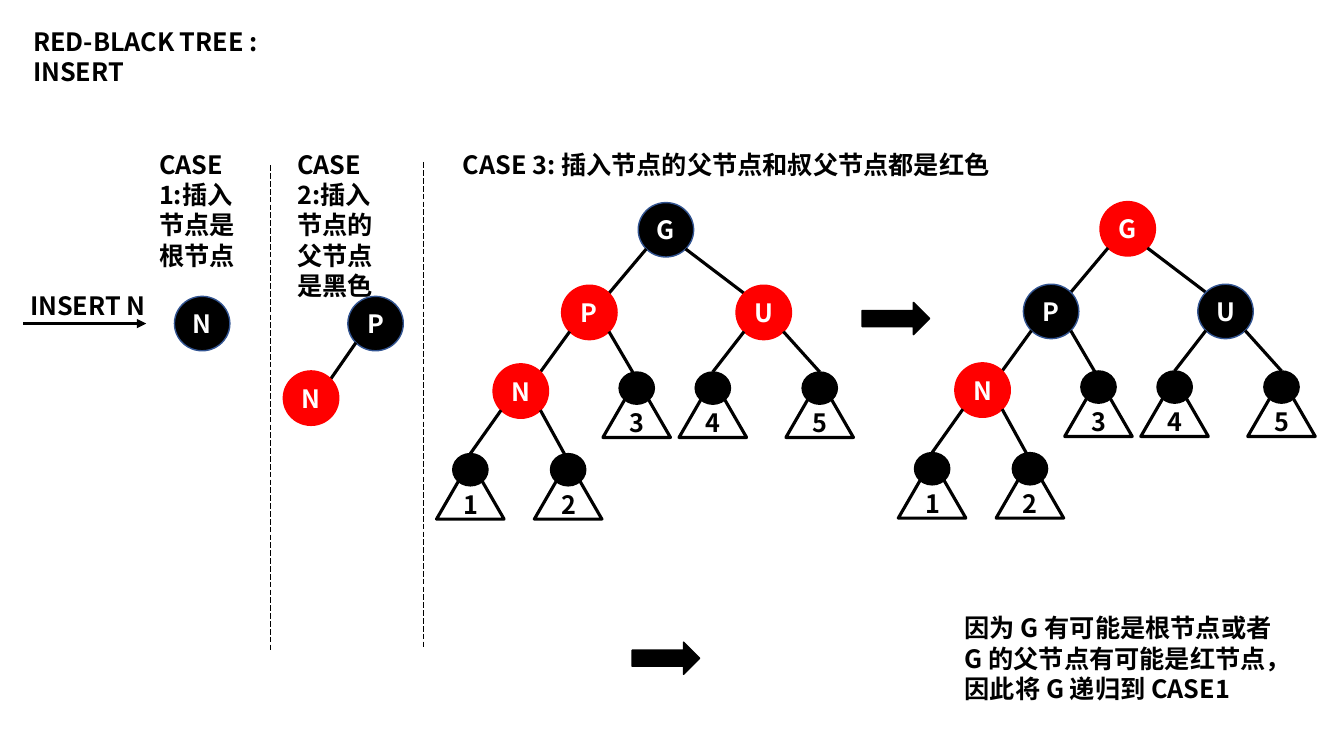
from dataclasses import dataclass
from lxml.etree import SubElement
from pptx import Presentation
from pptx.dml.color import RGBColor as Rgb
from pptx.enum.dml import MSO_LINE as Dash
from pptx.enum.shapes import MSO_CONNECTOR as Conn, MSO_SHAPE as Kind
from pptx.enum.text import MSO_ANCHOR as Anchor, MSO_AUTO_SIZE as Fit, PP_ALIGN as Align
from pptx.oxml.ns import qn
from pptx.util import Inches, Pt


@dataclass(frozen=True)
class Theme:
    black: str = "000000"
    red: str = "FF0000"
    white: str = "FFFFFF"
    rim: str = "325491"
    face: str = "Noto Sans CJK SC"
    size: float = 18
    bold: float = 2.25
    thin: float = 1
    hair: float = 0.5


T = Theme()
CELL = Inches(0.01)
COLS, ROWS = 1333, 750
NODE, DOT, LEAF, ARROW = (55, 54), (35, 32), (67, 58), (67, 32)
REACH = (19.5, 19)
RISE = 7

LABELS = [
    ("RED-BLACK TREE : INSERT", 23, 21, 330, 40),
    ("INSERT N", 20, 283, 140, 40),
    ("CASE 1:插入节点是根节点", 148, 143, 103, 131),
    ("CASE 2:插入节点的父节点是黑色", 285, 143, 103, 162),
    ("CASE 3: 插入节点的父节点和叔父节点都是红色", 449, 143, 553, 40),
    ("因为 G 有可能是根节点或者 G 的父节点有可能是红节点，因此将 G 递归到 CASE1",
     947, 603, 333, 101),
]
RULES = [(420, 161), (268, 164)]
RULE_LEN = 483
ARROWS = [(855, 300), (627, 637)]

# name: (dx, dy, parent)
ROOT = {"N": (0, 0, None)}
PAIR = {"P": (0, 0, None), "N": (-64, 74, "P")}
FAMILY = {"G": (0, 0, None), "P": (-76, 82, "G"), "U": (97, 82, "G"), "N": (-144, 160, "P")}
# label: (dx, dy, parent, line ends at the tip)
LEAVES = {
    "1": (-194, 229, "N", False), "2": (-97, 229, "N", True),
    "3": (-29, 148, "P", True), "4": (46.5, 148, "U", False),
    "5": (152.5, 148, "U", False),
}
TREES = [
    (200.5, 321, ROOT, {}, ""),
    (372.5, 321, PAIR, {}, "N"),
    (660.5, 228, FAMILY, LEAVES, "PUN"),
    (1118.5, 227, FAMILY, LEAVES, "GN"),
]

deck = Presentation()
deck.slide_width, deck.slide_height = COLS * CELL, ROWS * CELL
slide = deck.slides.add_slide(deck.slide_layouts[6])


def grid(*cells):
    return [round(c * CELL) for c in cells]


def write(frame, text, color, align=Align.LEFT):
    frame.word_wrap = True
    para = frame.paragraphs[0]
    para.text = text
    para.alignment = align
    font = para.font
    font.size, font.bold, font.name = Pt(T.size), True, T.face
    font.color.rgb = Rgb.from_string(color)
    SubElement(para._p.pPr.find(qn("a:defRPr")), qn("a:ea")).set("typeface", T.face)


def line(start, end, width=T.bold):
    link = slide.shapes.add_connector(Conn.STRAIGHT, *grid(*start, *end))
    link.line.color.rgb = Rgb.from_string(T.black)
    link.line.width = Pt(width)
    SubElement(link._element.spPr, qn("a:effectLst"))
    return link


def shape(kind, x, y, size, fill, rim, width=T.thin, text="", ink=T.white):
    item = slide.shapes.add_shape(kind, *grid(x, y, *size))
    item.shadow.inherit = False
    if fill:
        item.fill.solid()
        item.fill.fore_color.rgb = Rgb.from_string(fill)
    else:
        item.fill.background()
    item.line.color.rgb = Rgb.from_string(rim)
    item.line.width = Pt(width)
    if text:
        item.text_frame.vertical_anchor = Anchor.MIDDLE
        write(item.text_frame, text, ink, Align.CENTER)


def tree(cx, cy, nodes, leaves, reds):
    rx, ry = REACH

    def exit_of(name, dx):
        px, py, _ = nodes[name]
        side = 1 if dx > px else -1
        return side, (cx + px + side * rx, cy + py + ry)

    for name, (dx, dy, parent) in nodes.items():
        if parent:
            side, start = exit_of(parent, dx)
            line(start, (cx + dx - side * rx, cy + dy - ry))
        fill, rim = (T.red, T.red) if name in reds else (T.black, T.rim)
        w, h = NODE
        shape(Kind.OVAL, cx + dx - w / 2, cy + dy - h / 2, NODE, fill, rim, text=name)
    for name, (dx, dy, parent, tip) in leaves.items():
        x, y = cx + dx, cy + dy
        line(exit_of(parent, dx)[1], (x, y if tip else y - RISE))
        shape(Kind.OVAL, x - DOT[0] / 2, y - RISE, DOT, T.black, T.black)
        shape(Kind.ISOSCELES_TRIANGLE, x - LEAF[0] / 2, y, LEAF, None, T.black, T.bold,
              name, T.black)


for text, *box in LABELS:
    frame = slide.shapes.add_textbox(*grid(*box)).text_frame
    write(frame, text, T.black)
    frame.auto_size = Fit.SHAPE_TO_FIT_TEXT

step = line((23, 321), (145, 321))
SubElement(step.line._get_or_add_ln(), qn("a:tailEnd")).set("type", "triangle")
for x, y in RULES:
    line((x, y), (x, y + RULE_LEN), T.hair).line.dash_style = Dash.LONG_DASH
for x, y in ARROWS:
    shape(Kind.RIGHT_ARROW, x, y, ARROW, T.black, T.black)
for spot in TREES:
    tree(*spot)

deck.save("out.pptx")
